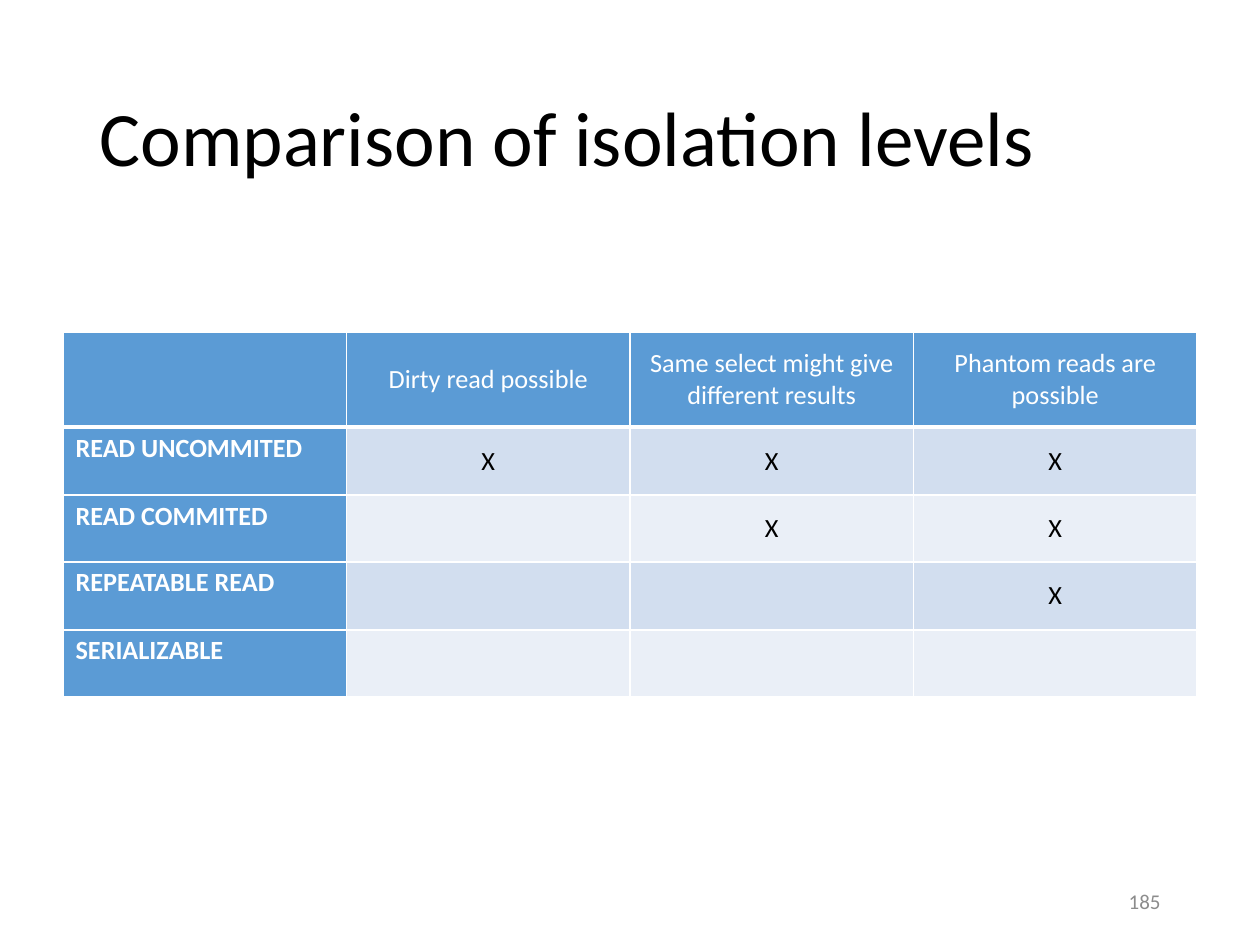
from dataclasses import dataclass
from lxml.etree import SubElement
from pptx import Presentation
from pptx.dml.color import RGBColor
from pptx.enum.text import MSO_ANCHOR, PP_ALIGN
from pptx.oxml.ns import qn
from pptx.util import Inches, Pt

WHITE, BLACK, BLUE, GREY = "FFFFFF", "000000", "5B9BD5", "8C8C8C"
BANDS = ("D2DEEF", "EAEFF7")
HEADS = ("", "Dirty read possible", "Same select might give different results",
         "Phantom reads are possible")


@dataclass
class Level:
    """An isolation level, its marks and its row height."""
    name: str
    marks: tuple[str, str, str]
    height: float


LEVELS = (
    Level("READ UNCOMMITED", ("X", "X", "X"), 0.54),
    Level("READ COMMITED", ("", "X", "X"), 0.53),
    Level("REPEATABLE READ", ("", "", "X"), 0.54),
    Level("SERIALIZABLE", ("", "", ""), 0.53),
)


def paint(target, color: str) -> None:
    """Give a fill or a font a colour from a hex string."""
    if hasattr(target, "solid"):
        target.solid()
        target.fore_color.rgb = RGBColor.from_string(color)
    else:
        target.color.rgb = RGBColor.from_string(color)


def write(frame, text: str, size: float, color: str, align, bold: bool = False) -> None:
    """Add one styled run to the first paragraph of a frame."""
    para = frame.paragraphs[0]
    para.alignment = align
    run = para.add_run()
    run.text = text
    font = run.font
    font.name, font.size, font.bold = "Calibri", Pt(size), bold
    paint(font, color)


def edge(cell, base: float) -> None:
    """Draw white cell borders, with a given width at the base."""
    props = cell._tc.get_or_add_tcPr()
    widths = {"lnL": 1, "lnR": 1, "lnT": 1, "lnB": base}
    for spot, (tag, width) in enumerate(widths.items()):
        line = SubElement(props, qn(f"a:{tag}"), w=str(Pt(width)))
        fill = SubElement(line, qn("a:solidFill"))
        SubElement(fill, qn("a:srgbClr"), val=WHITE)
        props.insert(spot, line)


def draw_cell(cell, text: str, fill: str, color: str, name: bool = False,
              base: float = 1) -> None:
    """Fill, frame and label one table cell."""
    paint(cell.fill, fill)
    edge(cell, base)
    cell.margin_left = cell.margin_right = Inches(0.1)
    cell.margin_top = cell.margin_bottom = Inches(0.04)
    cell.vertical_anchor = MSO_ANCHOR.TOP if name else MSO_ANCHOR.MIDDLE
    if text:
        align = PP_ALIGN.LEFT if name else PP_ALIGN.CENTER
        write(cell.text_frame, text, 15, color, align, name)


def draw_table(slide, wide: int, high: int) -> None:
    """Draw the comparison of the isolation levels."""
    heights = (0.75, *(level.height for level in LEVELS))
    frame = slide.shapes.add_table(
        len(heights), len(HEADS), int(wide * 0.05), int(high * 0.352),
        int(wide * 0.9), Inches(sum(heights)))
    table = frame.table
    for row, height in zip(table.rows, heights):
        row.height = Inches(height)
    for col, head in enumerate(HEADS):
        draw_cell(table.cell(0, col), head, BLUE, WHITE, base=3)
    for row, level in enumerate(LEVELS, 1):
        draw_cell(table.cell(row, 0), level.name, BLUE, WHITE, name=True)
        for col, mark in enumerate(level.marks, 1):
            draw_cell(table.cell(row, col), mark, BANDS[(row - 1) % 2], BLACK)


def main() -> None:
    """Build and save the slide."""
    deck = Presentation()
    deck.slide_width, deck.slide_height = Inches(10), Inches(7.5)
    wide, high = deck.slide_width, deck.slide_height
    slide = deck.slides.add_slide(deck.slide_layouts[5])

    title = slide.shapes.title
    title.left, title.top = Inches(0.69), Inches(0.4)
    title.width, title.height = Inches(8.62), Inches(1.45)
    title.text_frame.vertical_anchor = MSO_ANCHOR.MIDDLE
    write(title.text_frame, "Comparison of isolation levels", 44, BLACK, PP_ALIGN.LEFT)
    title.text_frame.paragraphs[0].line_spacing = 0.9

    draw_table(slide, wide, high)

    page = slide.shapes.add_textbox(Inches(7.06), Inches(6.95), Inches(2.25), Inches(0.4))
    page.text_frame.word_wrap = True
    page.text_frame.vertical_anchor = MSO_ANCHOR.MIDDLE
    write(page.text_frame, "185", 12, GREY, PP_ALIGN.RIGHT)
    deck.save("out.pptx")


if __name__ == "__main__":
    main()
